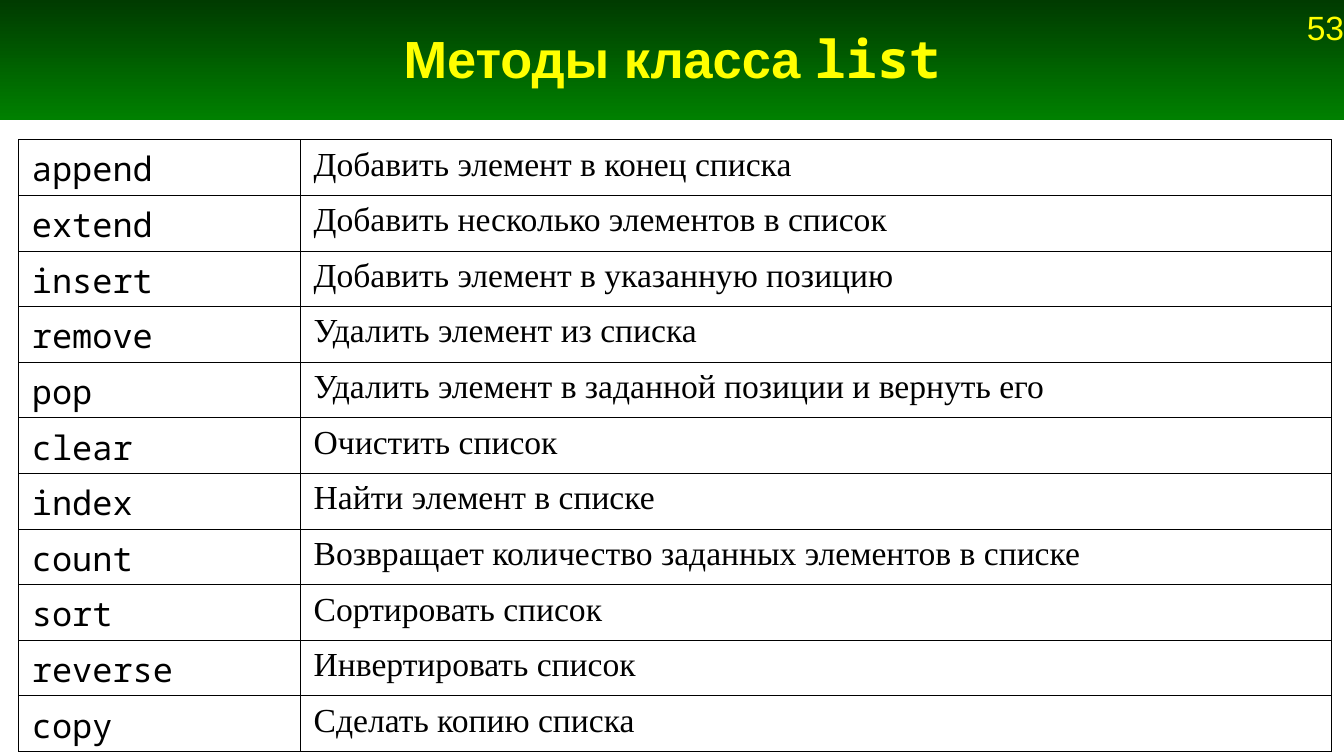
"""Build a slide with a table of the methods of the list class."""
from lxml.etree import SubElement
from pptx import Presentation
from pptx.dml.color import RGBColor
from pptx.enum.shapes import MSO_SHAPE
from pptx.enum.text import MSO_ANCHOR, PP_ALIGN
from pptx.oxml.ns import qn
from pptx.util import Pt

DARK_GREEN = RGBColor(0x00, 0x3B, 0x00)
GREEN = RGBColor(0x00, 0x80, 0x00)
YELLOW = RGBColor(0xFF, 0xFF, 0x00)
BLACK = RGBColor(0x00, 0x00, 0x00)
MONO = "Noto Sans Mono"

METHODS = [
    ("append", "Добавить элемент в конец списка"),
    ("extend", "Добавить несколько элементов в список"),
    ("insert", "Добавить элемент в указанную позицию"),
    ("remove", "Удалить элемент из списка"),
    ("pop", "Удалить элемент в заданной позиции и вернуть его"),
    ("clear", "Очистить список"),
    ("index", "Найти элемент в списке"),
    ("count", "Возвращает количество заданных элементов в списке"),
    ("sort", "Сортировать список"),
    ("reverse", "Инвертировать список"),
    ("copy", "Сделать копию списка"),
]


def add_run(p, text, font, size, color, bold=False):
    r = p.add_run()
    r.text = text
    r.font.name = font
    r.font.size = Pt(size)
    r.font.color.rgb = color
    r.font.bold = bold


def add_borders(cell):
    tcPr = cell._tc.get_or_add_tcPr()
    for i, side in enumerate(("a:lnL", "a:lnR", "a:lnT", "a:lnB")):
        ln = SubElement(tcPr, qn(side), w="720")
        fill = SubElement(ln, qn("a:solidFill"))
        SubElement(fill, qn("a:srgbClr"), val=str(BLACK))
        tcPr.insert(i, ln)


prs = Presentation()
prs.slide_width = Pt(720)
prs.slide_height = Pt(405)
s = prs.slides.add_slide(prs.slide_layouts[6])

band = s.shapes.add_shape(MSO_SHAPE.RECTANGLE, Pt(0), Pt(0), Pt(720), Pt(64.3))
band.shadow.inherit = False
band.line.fill.background()
band.fill.gradient()
band.fill.gradient_angle = 270
for stop, color, position in zip(band.fill.gradient_stops, (DARK_GREEN, GREEN), (0, 1)):
    stop.color.rgb = color
    stop.position = position

number = s.shapes.add_textbox(Pt(630.7), Pt(0), Pt(96.5), Pt(29))
tf = number.text_frame
tf.word_wrap = False
p = tf.paragraphs[0]
p.alignment = PP_ALIGN.RIGHT
add_run(p, "53", "Arial", 18, YELLOW)

title = s.shapes.add_textbox(Pt(36), Pt(-2.9), Pt(648), Pt(67.5))
tf = title.text_frame
tf.word_wrap = True
tf.vertical_anchor = MSO_ANCHOR.MIDDLE
p = tf.paragraphs[0]
p.alignment = PP_ALIGN.CENTER
add_run(p, "Методы класса ", "Arial", 28, YELLOW, True)
add_run(p, "list", MONO, 28, YELLOW, True)

row_height = Pt(29.8)
frame = s.shapes.add_table(len(METHODS), 2, Pt(9.9), Pt(74.7), Pt(703.4), row_height * len(METHODS))
table = frame.table
table.first_row = False
table.horz_banding = False
table.columns[0].width = Pt(151)
table.columns[1].width = Pt(552.4)
for row, texts in zip(table.rows, METHODS):
    row.height = row_height
    for cell, text, font in zip(row.cells, texts, (MONO, "Times New Roman")):
        cell.fill.background()
        add_borders(cell)
        add_run(cell.text_frame.paragraphs[0], text, font, 18, BLACK)

prs.save("out.pptx")
